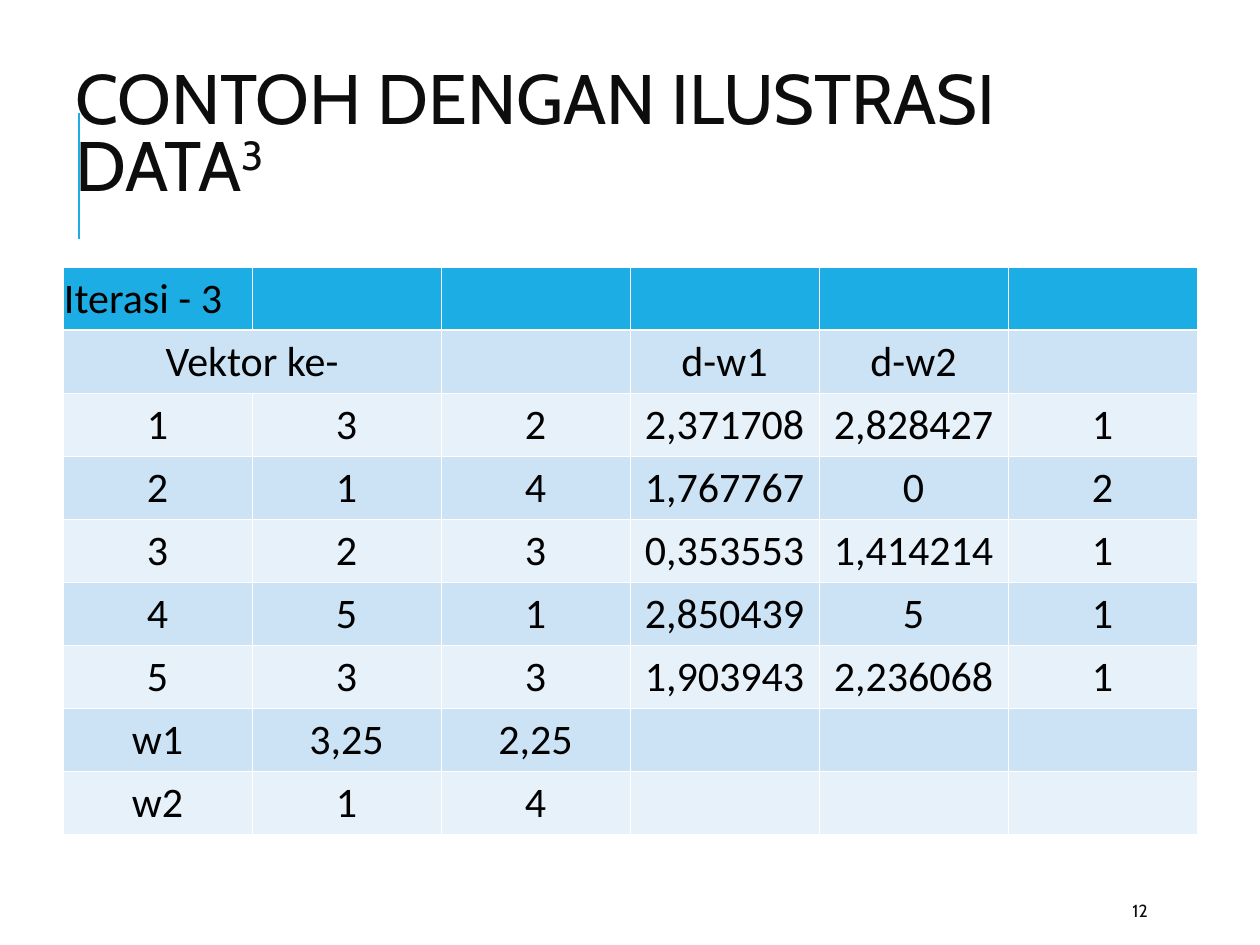
from dataclasses import dataclass

from lxml.etree import SubElement
from pptx import Presentation
from pptx.dml.color import RGBColor
from pptx.enum.shapes import MSO_CONNECTOR
from pptx.enum.text import MSO_ANCHOR, PP_ALIGN
from pptx.oxml import parse_xml
from pptx.oxml.ns import nsdecls, qn
from pptx.util import Emu, Pt

PX_PER_INCH = 126


@dataclass(frozen=True)
class Theme:
    accent: str = "1CADE4"
    band_dark: str = "CCE3F5"
    band_light: str = "E7F1FA"
    border: str = "FFFFFF"
    ink: str = "0D0D0D"
    cell_ink: str = "000000"
    heading_font: str = "Cabin"
    table_font: str = "Calibri"
    title_pt: int = 40
    cell_pt: int = 24
    number_pt: int = 10
    rule_pt: float = 1.5
    border_pt: float = 0.45
    header_border_pt: float = 1.47


@dataclass(frozen=True)
class Label:
    text: str
    x: int
    y: int
    w: int
    h: int
    size: int
    spacing: float = 1.0
    superscript: str = ""


THEME = Theme()
TITLE = Label("CONTOH DENGAN ILUSTRASI DATA", 63, 97, 1134, 82,
              THEME.title_pt, 0.8, "3")
PAGE_NUMBER = Label("12", 1120, 892, 101, 38, THEME.number_pt)
ROWS = [
    ("Iterasi - 3", "", "", "", "", ""),
    ("Vektor ke-", "", "", "d-w1", "d-w2", ""),
    ("1", "3", "2", "2,371708", "2,828427", "1"),
    ("2", "1", "4", "1,767767", "0", "2"),
    ("3", "2", "3", "0,353553", "1,414214", "1"),
    ("4", "5", "1", "2,850439", "5", "1"),
    ("5", "3", "3", "1,903943", "2,236068", "1"),
    ("w1", "3,25", "2,25", "", "", ""),
    ("w2", "1", "4", "", "", ""),
]


def px(n: int) -> Emu:
    return Emu(round(n * 914400 / PX_PER_INCH))


def style_run(r, font: str, size: int, color: str) -> None:
    r.font.name = font
    r.font.size = Pt(size)
    r.font.bold = False
    r.font.color.rgb = RGBColor.from_string(color)


def add_label(slide, label: Label) -> None:
    sp = slide.shapes.add_textbox(px(label.x), px(label.y), px(label.w), px(label.h))
    tf = sp.text_frame
    tf.word_wrap = True
    tf.vertical_anchor = MSO_ANCHOR.MIDDLE
    tf.text = label.text
    p = tf.paragraphs[0]
    p.line_spacing = label.spacing
    if label.superscript:
        r = p.add_run()
        r.text = label.superscript
        r._r.get_or_add_rPr().set("baseline", "30000")
    for r in p.runs:
        style_run(r, THEME.heading_font, label.size, THEME.ink)


def add_rule(slide, x: int, top: int, bottom: int) -> None:
    line = slide.shapes.add_connector(MSO_CONNECTOR.STRAIGHT,
                                      px(x), px(bottom), px(x), px(top))
    line.line.color.rgb = RGBColor.from_string(THEME.accent)
    line.line.width = Pt(THEME.rule_pt)
    SubElement(line._element.spPr, qn("a:effectLst"))


def set_borders(cell, row: int) -> None:
    widths = {"L": THEME.border_pt, "R": THEME.border_pt,
              "T": THEME.header_border_pt if row == 1 else THEME.border_pt,
              "B": THEME.header_border_pt if row == 0 else THEME.border_pt}
    tcPr = cell._tc.get_or_add_tcPr()
    for i, (side, width) in enumerate(widths.items()):
        tcPr.insert(i, parse_xml(
            f'<a:ln{side} {nsdecls("a")} w="{Pt(width)}"><a:solidFill>'
            f'<a:srgbClr val="{THEME.border}"/></a:solidFill></a:ln{side}>'))


def row_fill(row: int) -> str:
    if row == 0:
        return THEME.accent
    return THEME.band_dark if row % 2 else THEME.band_light


def fill_cell(cell, text: str, row: int) -> None:
    cell.fill.solid()
    cell.fill.fore_color.rgb = RGBColor.from_string(row_fill(row))
    set_borders(cell, row)
    cell.vertical_anchor = MSO_ANCHOR.BOTTOM
    cell.margin_left = cell.margin_right = px(1)
    if not text:
        return
    cell.text_frame.text = text
    p = cell.text_frame.paragraphs[0]
    p.alignment = PP_ALIGN.CENTER if row else PP_ALIGN.LEFT
    style_run(p.runs[0], THEME.table_font, THEME.cell_pt, THEME.cell_ink)


def add_iteration_table(slide, x: int, y: int, col_w: int, row_h: int) -> None:
    n_rows, n_cols = len(ROWS), len(ROWS[0])
    table = slide.shapes.add_table(n_rows, n_cols, px(x), px(y),
                                   px(col_w * n_cols), px(row_h * n_rows)).table
    for i, values in enumerate(ROWS):
        for j, text in enumerate(values):
            fill_cell(table.cell(i, j), text, i)
    table.cell(1, 0).merge(table.cell(1, 1))


def main() -> None:
    prs = Presentation()
    prs.slide_width, prs.slide_height = px(1260), px(945)
    s = prs.slides.add_slide(prs.slide_layouts[6])
    add_rule(s, 79, 113, 239)
    add_label(s, TITLE)
    add_iteration_table(s, 63, 267, 189, 52)
    add_label(s, PAGE_NUMBER)
    prs.save("out.pptx")


if __name__ == "__main__":
    main()
